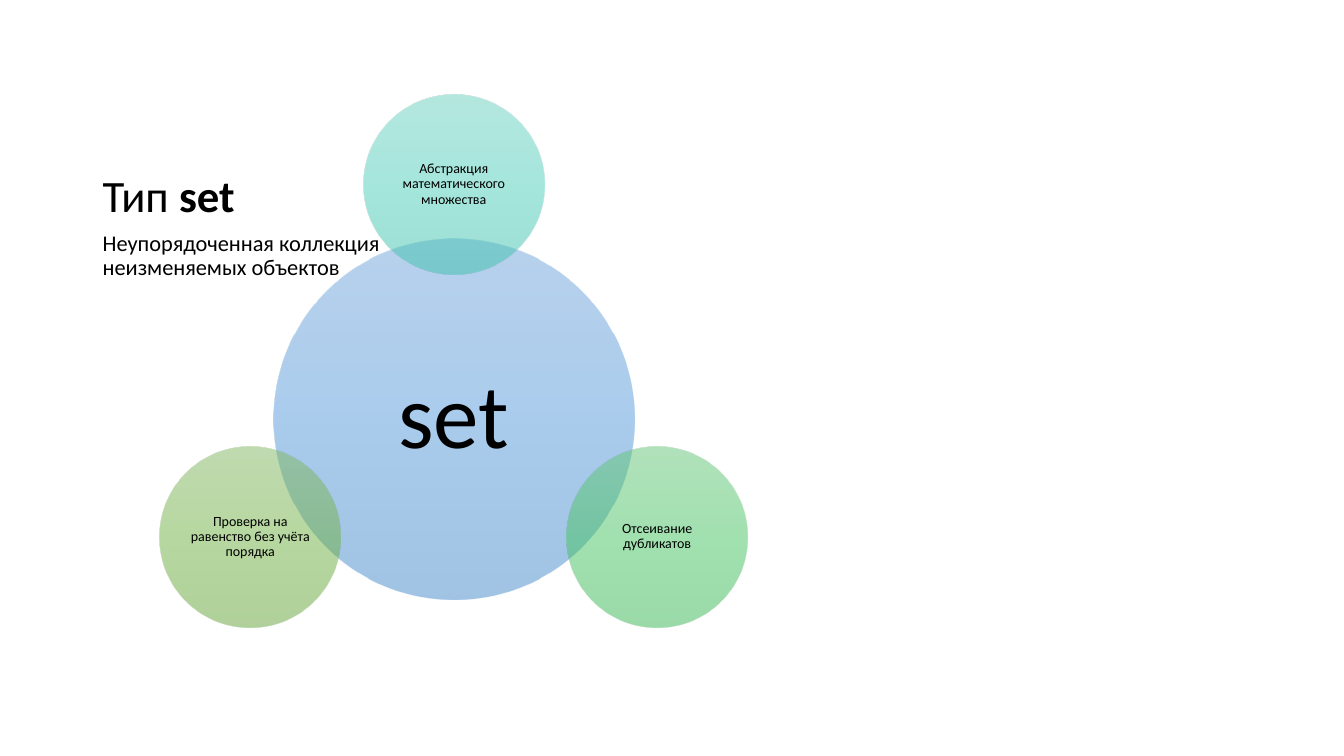
import math
from lxml import etree
from pptx import Presentation
from pptx.dml.color import RGBColor
from pptx.enum import shapes, text
from pptx.oxml.ns import qn
from pptx.util import Inches, Pt

FONT = "Calibri"
COLORS = {
    "text": "000000",
    "blue": ("71A6DB", "559BDB", "448ACA"),
    "teal": ("6AD1C0", "4CD0BC", "3CC0AC"),
    "green": ("64C677", "44C460", "36B552"),
    "olive": ("81B861", "6FB242", "62A336"),
}
TITLE = [("Тип ", False), ("set", True)]
SUBTITLE = [("Неупорядоченная коллекция неизменяемых объектов", False)]
HUB = ("set", "blue")
PROPERTIES = [
    ("Абстракция математического множества", "teal"),
    ("Отсеивание дубликатов", "green"),
    ("Проверка на равенство без учёта порядка", "olive"),
]

CENTER_X, CENTER_Y = 4.5, 4.16
HUB_SIZE, PROPERTY_SIZE = 3.58, 1.79
ORBIT = 2.33
TEXT_LEFT, TEXT_WIDTH = 0.92, 4.3


def write(frame, runs, size, **layout):
    frame.word_wrap = True
    for name, value in layout.items():
        setattr(frame, name, value)
    paragraph = frame.paragraphs[0]
    paragraph.line_spacing = 0.9
    for words, bold in runs:
        run = paragraph.add_run()
        run.text = words
        for name, value in {"name": FONT, "size": Pt(size), "bold": bold}.items():
            setattr(run.font, name, value)
        run.font.color.rgb = RGBColor.from_string(COLORS["text"])
    return paragraph


def fill_gradient(shape, stops):
    """Fill from top to bottom with evenly spaced, half-transparent stops."""
    shape.fill.gradient()
    shape.fill.gradient_angle = 270
    stop_list = shape.element.spPr.find(".//" + qn("a:gsLst"))
    for old in list(stop_list):
        stop_list.remove(old)
    for i, color in enumerate(stops):
        position = 100000 * i // (len(stops) - 1)
        stop = etree.SubElement(stop_list, qn("a:gs"), pos=str(position))
        rgb = etree.SubElement(stop, qn("a:srgbClr"), val=color)
        etree.SubElement(rgb, qn("a:alpha"), val="50000")


def add_circle(slide, label, color, x, y, diameter, size, margin):
    circle = slide.shapes.add_shape(
        shapes.MSO_SHAPE.OVAL, Inches(x - diameter / 2), Inches(y - diameter / 2),
        Inches(diameter), Inches(diameter))
    circle.shadow.inherit = False
    circle.line.fill.background()
    fill_gradient(circle, COLORS[color])
    sides = ("left", "top", "right", "bottom")
    margins = {f"margin_{side}": Inches(margin) for side in sides}
    paragraph = write(circle.text_frame, [(label, False)], size,
                      vertical_anchor=text.MSO_ANCHOR.MIDDLE, **margins)
    paragraph.alignment = text.PP_ALIGN.CENTER


def main():
    deck = Presentation()
    deck.slide_width, deck.slide_height = Inches(13.33), Inches(7.5)
    slide = deck.slides.add_slide(deck.slide_layouts[6])

    for runs, top, height, size, anchor in [
        (TITLE, 0.5, 1.75, 32, text.MSO_ANCHOR.BOTTOM),
        (SUBTITLE, 2.25, 4.17, 16, text.MSO_ANCHOR.TOP),
    ]:
        box = slide.shapes.add_textbox(
            Inches(TEXT_LEFT), Inches(top), Inches(TEXT_WIDTH), Inches(height))
        write(box.text_frame, runs, size, vertical_anchor=anchor)

    add_circle(slide, *HUB, CENTER_X, CENTER_Y, HUB_SIZE, 65, 0.09)
    for i, (label, color) in enumerate(PROPERTIES):
        angle = 2 * math.pi * i / len(PROPERTIES)
        add_circle(slide, label, color, CENTER_X + ORBIT * math.sin(angle),
                   CENTER_Y - ORBIT * math.cos(angle), PROPERTY_SIZE, 10, 0.01)

    deck.save("out.pptx")


if __name__ == "__main__":
    main()
